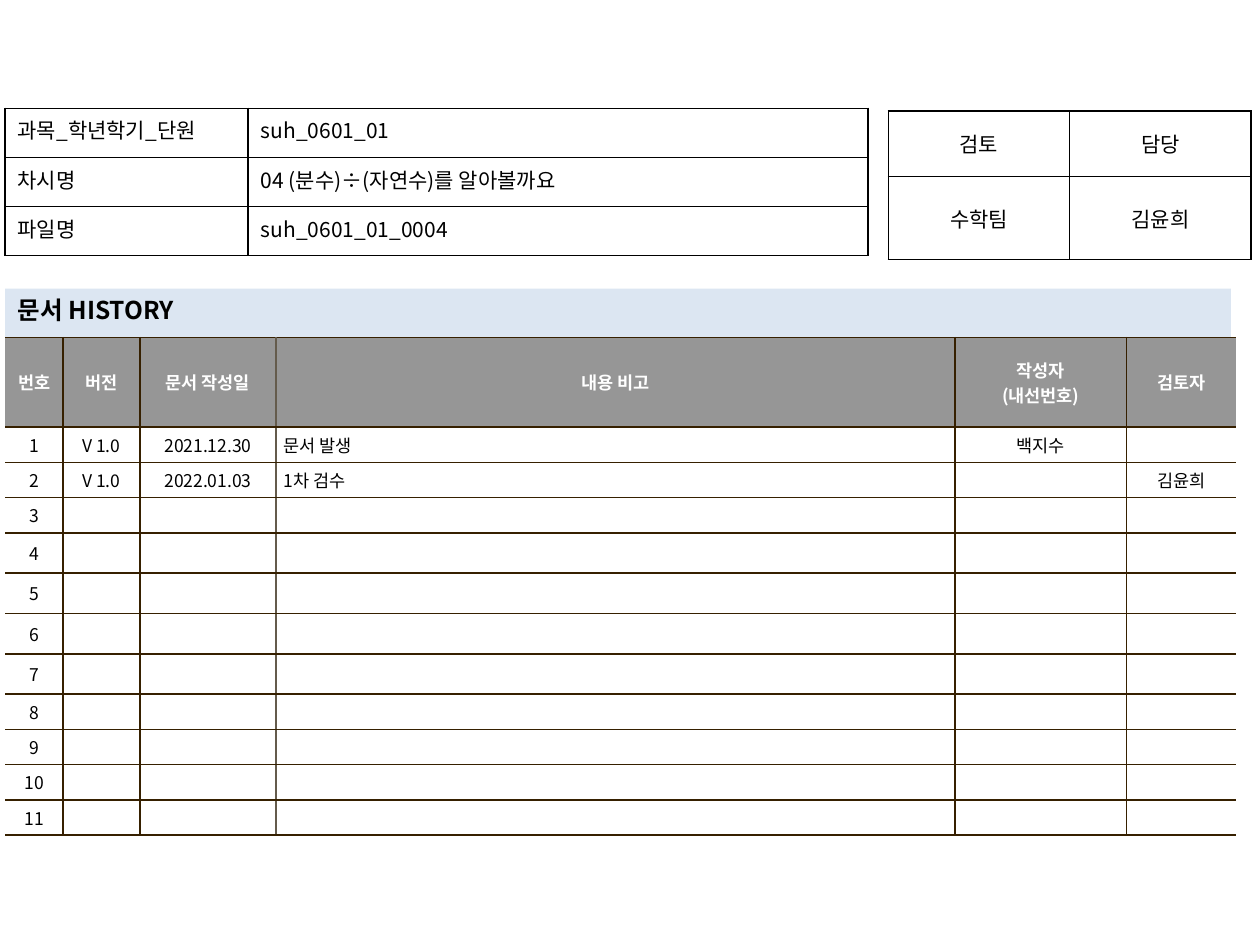
from lxml import etree
from pptx import Presentation
from pptx.dml.color import RGBColor
from pptx.enum.text import MSO_ANCHOR, MSO_AUTO_SIZE, PP_ALIGN
from pptx.oxml.ns import qn
from pptx.util import Emu, Inches, Pt

LEFT, CENTER, JUSTIFY = PP_ALIGN.LEFT, PP_ALIGN.CENTER, PP_ALIGN.JUSTIFY
TOP, MIDDLE = MSO_ANCHOR.TOP, MSO_ANCHOR.MIDDLE
GROW = MSO_AUTO_SIZE.SHAPE_TO_FIT_TEXT

TITLE_ONLY = 5
FONT = "Noto Sans CJK KR"
BLACK, WHITE = "000000", "FFFFFF"
BROWN, TAUPE, GRAY, PALE_BLUE = "362000", "645B4C", "969696", "DCE6F2"
MARGIN = 0.04

FILE_INFO = [
    ["과목_학년학기_단원", "suh_0601_01"],
    ["차시명", "04 (분수)÷(자연수)를 알아볼까요"],
    ["파일명", "suh_0601_01_0004"],
]
REVIEW = [["검토", "담당"], ["수학팀", "김윤희"]]
HISTORY_HEADER = ["번호", "버전", "문서 작성일", "내용 비고", "작성자\n(내선번호)", "검토자"]
HISTORY_ENTRIES = [
    ["V 1.0", "2021.12.30", "문서 발생", "백지수", ""],
    ["V 1.0", "2022.01.03", "1차 검수", "", "김윤희"],
]
ENTRY_COUNT = 11
TALL_ENTRIES = range(4, 8)
NOTE_COLUMN = 3


def rgb(value):
    return RGBColor.from_string(value)


def style_text(frame, size, color, bold, align):
    """Format every paragraph; empty ones keep the size for the row height."""
    for para in frame.paragraphs:
        para.alignment = align
        for span in para.runs:
            span.font.size = Pt(size)
            span.font.bold = bold
            span.font.name = FONT
            span.font.color.rgb = rgb(color)
            east_asian = etree.SubElement(span._r.get_or_add_rPr(), qn("a:ea"))
            east_asian.set("typeface", FONT)
        if not para.runs:
            end = etree.SubElement(para._p, qn("a:endParaRPr"))
            end.set("sz", str(size * 100))


def set_border(cell, side, color):
    """Draw one side (L, R, T or B) of a cell; no colour means no line."""
    line = etree.SubElement(cell._tc.get_or_add_tcPr(), qn(f"a:ln{side}"), w=str(Pt(1)))
    if color is None:
        etree.SubElement(line, qn("a:noFill"))
    else:
        fill = etree.SubElement(line, qn("a:solidFill"))
        etree.SubElement(fill, qn("a:srgbClr"), val=color)


def style_cell(cell, text, size, align, anchor, insets, verticals, horizontal,
               color=BLACK, bold=False, fill=None):
    cell.text = text
    cell.vertical_anchor = anchor
    cell.margin_left = cell.margin_right = Inches(insets[0])
    cell.margin_top = cell.margin_bottom = Inches(insets[1])
    style_text(cell.text_frame, size, color, bold, align)
    for side, line_color in zip("LRTB", (*verticals, horizontal, horizontal)):
        set_border(cell, side, line_color)
    if fill:
        cell.fill.solid()
        cell.fill.fore_color.rgb = rgb(fill)
    else:
        cell.fill.background()


def add_grid(page, left, top, widths, heights):
    frame = page.shapes.add_table(
        len(heights), len(widths), Inches(left), Inches(top),
        Inches(sum(widths)), Inches(sum(heights)))
    table = frame.table
    table.first_row = table.horz_banding = False
    for column, width in zip(table.columns, widths):
        column.width = Inches(width)
    for row, height in zip(table.rows, heights):
        row.height = Inches(height)
    return table


def add_form(page, left, top, widths, heights, texts, aligns, anchor):
    """A plain black-ruled table."""
    table = add_grid(page, left, top, widths, heights)
    for r, row in enumerate(texts):
        for c, text in enumerate(row):
            style_cell(table.cell(r, c), text, 12, aligns[c], anchor,
                       (0.1, 0.05), (BLACK, BLACK), BLACK)


def add_history(page):
    widths = [0.46, 0.61, 1.08, 5.39, 1.36, 0.87]
    numbers = range(1, ENTRY_COUNT + 1)
    heights = [0.71] + [0.32 if n in TALL_ENTRIES else 0.28 for n in numbers]
    table = add_grid(page, MARGIN, 2.68, widths, heights)

    # Vertical rules from left to right; the outer sides stay open
    rules = [None, BROWN, BROWN, TAUPE, BROWN, BROWN, None]
    blank = [""] * (len(widths) - 1)
    for r in range(ENTRY_COUNT + 1):
        header = r == 0
        entry = HISTORY_ENTRIES[r - 1] if 0 < r <= len(HISTORY_ENTRIES) else blank
        row = HISTORY_HEADER if header else [str(r), *entry]
        size = 12 if r in TALL_ENTRIES else 10
        for c, text in enumerate(row):
            cell = table.cell(r, c)
            is_note = c == NOTE_COLUMN and not header
            style_cell(cell, text, size if c and not header else 10,
                       LEFT if is_note else CENTER, MIDDLE, (0.06, 0.04),
                       rules[c:c + 2], BROWN,
                       color=WHITE if header else BLACK, bold=header,
                       fill=GRAY if header else WHITE)
            if is_note and text:
                indent = Inches(0.19)
                properties = cell.text_frame.paragraphs[0]._p.get_or_add_pPr()
                properties.set("marL", str(indent))
                properties.set("indent", str(Emu(-indent)))


def add_heading(page, text):
    title = page.shapes.title
    title.left, title.top = Inches(MARGIN), Inches(2.29)
    title.width, title.height = Inches(9.73), Inches(0.34)
    title.fill.solid()
    title.fill.fore_color.rgb = rgb(PALE_BLUE)
    frame = title.text_frame
    frame.text = text
    frame.word_wrap = True
    frame.auto_size = GROW
    frame.vertical_anchor = TOP
    style_text(frame, 14, BLACK, True, LEFT)


def main():
    deck = Presentation()
    deck.slide_width, deck.slide_height = Inches(10), Inches(7.5)
    page = deck.slides.add_slide(deck.slide_layouts[TITLE_ONLY])

    # Heading band and revision history
    add_heading(page, "문서 HISTORY")
    add_history(page)

    # Review box and file details along the top
    add_form(page, 7.05, 0.88, [1.44] * 2, [0.52, 0.66], REVIEW, [CENTER] * 2, MIDDLE)
    add_form(page, MARGIN, 0.86, [1.93, 4.92], [0.39] * 3, FILE_INFO, [JUSTIFY, LEFT], TOP)

    deck.save("out.pptx")


if __name__ == "__main__":
    main()
